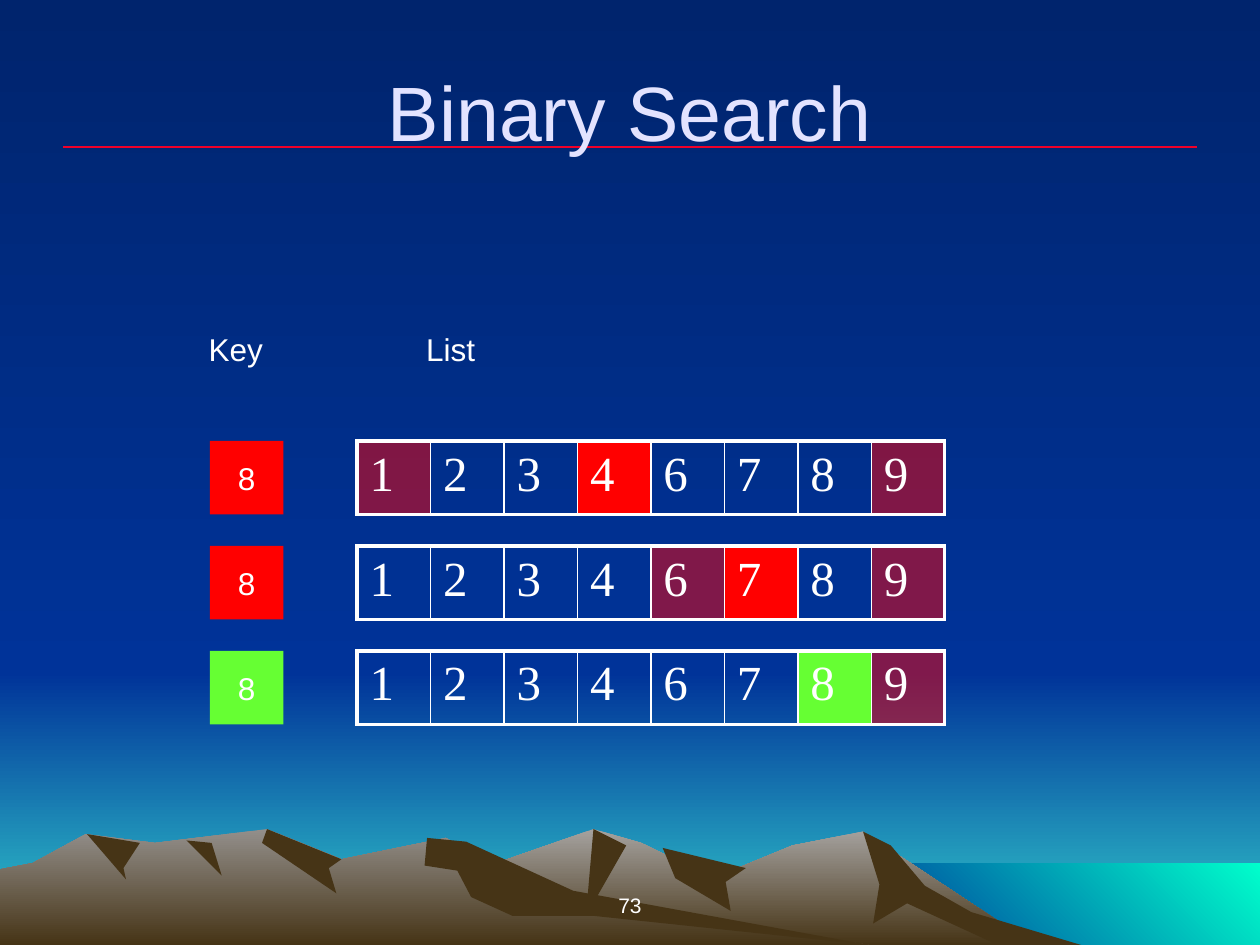
"""Build a slide that traces a binary search over a sorted list."""
from lxml import etree
from pptx import Presentation
from pptx.dml.color import RGBColor
from pptx.enum.shapes import MSO_CONNECTOR, MSO_SHAPE
from pptx.enum.text import MSO_ANCHOR, PP_ALIGN
from pptx.oxml.ns import qn
from pptx.util import Inches, Pt

RECT = MSO_SHAPE.RECTANGLE
LINE = MSO_CONNECTOR.STRAIGHT
LEFT, MID = PP_ALIGN.LEFT, PP_ALIGN.CENTER
TOP, CORE, LOW = MSO_ANCHOR.TOP, MSO_ANCHOR.MIDDLE, MSO_ANCHOR.BOTTOM

NIGHT = RGBColor.from_string("00246D")
BLUE = RGBColor.from_string("003399")
TEAL = RGBColor.from_string("33CCCC")
AQUA = RGBColor.from_string("00FFCC")
STONE = RGBColor.from_string("A5A29F")
SLATE = RGBColor.from_string("938F8B")
EARTH = RGBColor.from_string("463416")
RED = RGBColor.from_string("FF0000")
GREEN = RGBColor.from_string("66FF33")
CRIMSON = RGBColor.from_string("EF0129")
PALE = RGBColor.from_string("E3E3FF")
WHITE = RGBColor.from_string("FFFFFF")

DOWN, SLANT = 270, 45
SKY = (NIGHT, BLUE, DOWN)
HEAD = {"name": "Arial", "size": Pt(44)}
BODY = {"name": "Arial", "size": Pt(18)}
FOOT = {"name": "Arial", "size": Pt(12)}
DIGIT = {"name": "Times New Roman", "size": Pt(28)}

WIDE, HIGH = Inches(10), Inches(7.5)
COLS, ROWS = 120, 90
SIDE, GAP = 7, 10
ITEMS = "12346789"
STEPS = (("1", "4", "9", RED), ("6", "7", "9", RED), ("8", "8", "9", GREEN))

BANDS = (
    ((BLUE, TEAL, DOWN), (0, 64, 120, 26)),
    (SKY, (0, 0, 120, 64)),
    ((BLUE, AQUA, SLANT), (82, 82.2, 38, 7.8)),
)
PEAKS = (
    ((STONE, EARTH, DOWN), (
        (258, 750), (327, 709), (394, 685), (471, 658), (509, 669),
        (566, 697), (629, 671), (685, 660), (821, 750))),
    (EARTH, (
        (685, 660), (698, 702), (693, 733), (720, 717), (792, 750),
        (858, 750), (771, 724), (734, 703), (707, 671))),
    (EARTH, ((471, 658), (465, 727), (497, 671))),
    (EARTH, ((526, 673), (536, 697), (580, 723), (576, 700), (592, 689))),
    ((SLATE, EARTH, DOWN), (
        (0, 690), (26, 685), (68, 662), (123, 669), (212, 658),
        (271, 682), (354, 665), (432, 712), (690, 750), (0, 750))),
    (EARTH, ((212, 658), (208, 669), (267, 709), (261, 689), (271, 682))),
    (EARTH, (
        (339, 665), (337, 687), (363, 691), (374, 712), (407, 727),
        (472, 727), (690, 750), (455, 707), (370, 668))),
    (EARTH, ((148, 667), (176, 695), (168, 669))),
    (EARTH, ((69, 662), (100, 698), (98, 689), (111, 669))),
)


def grid(x, y, w, h):
    """Turn columns and rows into slide lengths."""
    return (int(WIDE * x / COLS), int(HIGH * y / ROWS),
            int(WIDE * w / COLS), int(HIGH * h / ROWS))


def paint(fill, tone):
    """Fill with one colour or with a (first, last, angle) gradient."""
    if isinstance(tone, RGBColor):
        fill.solid()
        fill.fore_color.rgb = tone
        return
    fill.gradient()
    fill.gradient_angle = tone[2]
    for stop, hue in zip(fill.gradient_stops, tone):
        stop.color.rgb = hue


def plain(shape, tone):
    """Give a shape its fill and no line or shadow."""
    shape.shadow.inherit = False
    paint(shape.fill, tone)
    shape.line.fill.background()


def write(frame, text, form, hue=WHITE, align=LEFT):
    """Write one formatted paragraph."""
    para = frame.paragraphs[0]
    para.alignment = align
    run = para.add_run()
    run.text = text
    for name, value in form.items():
        setattr(run.font, name, value)
    run.font.color.rgb = hue


def label(slide, box, text, form, hue=WHITE, align=LEFT, anchor=TOP):
    """Add a text box on the grid."""
    frame = slide.shapes.add_textbox(*grid(*box)).text_frame
    frame.word_wrap = True
    frame.vertical_anchor = anchor
    write(frame, text, form, hue, align)


def block(slide, tone, box):
    """Add a filled rectangle on the grid."""
    shape = slide.shapes.add_shape(RECT, *grid(*box))
    plain(shape, tone)
    return shape


def peak(slide, tone, dots):
    """Add an outline given in hundredths of an inch."""
    pen = slide.shapes.build_freeform(*dots[0], scale=Inches(0.01))
    pen.add_line_segments(dots[1:], close=True)
    plain(pen.convert_to_shape(), tone)


def rule(slide, x, y, w):
    """Draw the thin line under the title."""
    left, top, span, _ = grid(x, y, w, 0)
    line = slide.shapes.add_connector(LINE, left, top, left + span, top)
    line.line.color.rgb = CRIMSON
    line.line.width = Pt(0.75)
    etree.SubElement(line._element.spPr, qn("a:effectLst"))


def edge(cell, sides):
    """Draw white cell borders of the given widths."""
    props = cell._tc.get_or_add_tcPr()
    for side, size in sides.items():
        line = etree.SubElement(props, qn("a:ln" + side), w=str(Pt(size)))
        fill = etree.SubElement(line, qn("a:solidFill"))
        etree.SubElement(fill, qn("a:srgbClr"), val=str(WHITE))


def fade(cell):
    """Fill a cell with half-clear red."""
    paint(cell.fill, RED)
    hue = cell._tc.tcPr.find(qn("a:solidFill"))[0]
    etree.SubElement(hue, qn("a:alpha"), val="50000")


def array(slide, row, low, mid, high, tone):
    """Add the list as a table with its range ends and middle marked."""
    box = grid(34, row, SIDE * len(ITEMS), SIDE)
    table = slide.shapes.add_table(1, len(ITEMS), *box).table
    table.first_row = table.horz_banding = False
    for i, text in enumerate(ITEMS):
        cell = table.cell(0, i)
        edge(cell, {"L": 2.25 if text == ITEMS[0] else 1,
                    "R": 2.25 if text == ITEMS[-1] else 1,
                    "T": 2.25, "B": 2.25})
        if text == mid:
            paint(cell.fill, tone)
        elif text in (low, high):
            fade(cell)
        else:
            cell.fill.background()
        write(cell.text_frame, text, DIGIT)


def key(slide, row, tone):
    """Add the square that holds the key."""
    frame = block(slide, tone, (20, row, SIDE, SIDE)).text_frame
    frame.word_wrap = False
    frame.vertical_anchor = CORE
    write(frame, "8", BODY, align=MID)


def main():
    """Build and save the slide."""
    deck = Presentation()
    deck.slide_width, deck.slide_height = WIDE, HIGH
    slide = deck.slides.add_slide(deck.slide_layouts[6])
    paint(slide.background.fill, SKY)
    for tone, box in BANDS:
        block(slide, tone, box)
    for tone, dots in PEAKS:
        peak(slide, tone, dots)
    rule(slide, 6, 14, 108)
    label(slide, (41, 82, 38, 6), "73", FOOT, align=MID, anchor=LOW)
    label(slide, (6, 3, 108, 15), "Binary Search", HEAD, PALE, MID, CORE)
    for i, (low, mid, high, tone) in enumerate(STEPS):
        row = 42 + GAP * i
        array(slide, row, low, mid, high, tone)
        key(slide, row, tone)
    label(slide, (18.7, 30.8, 14.6, 6), "Key", BODY)
    label(slide, (39.4, 30.8, 29.3, 6), "List", BODY)
    deck.save("out.pptx")


if __name__ == "__main__":
    main()
